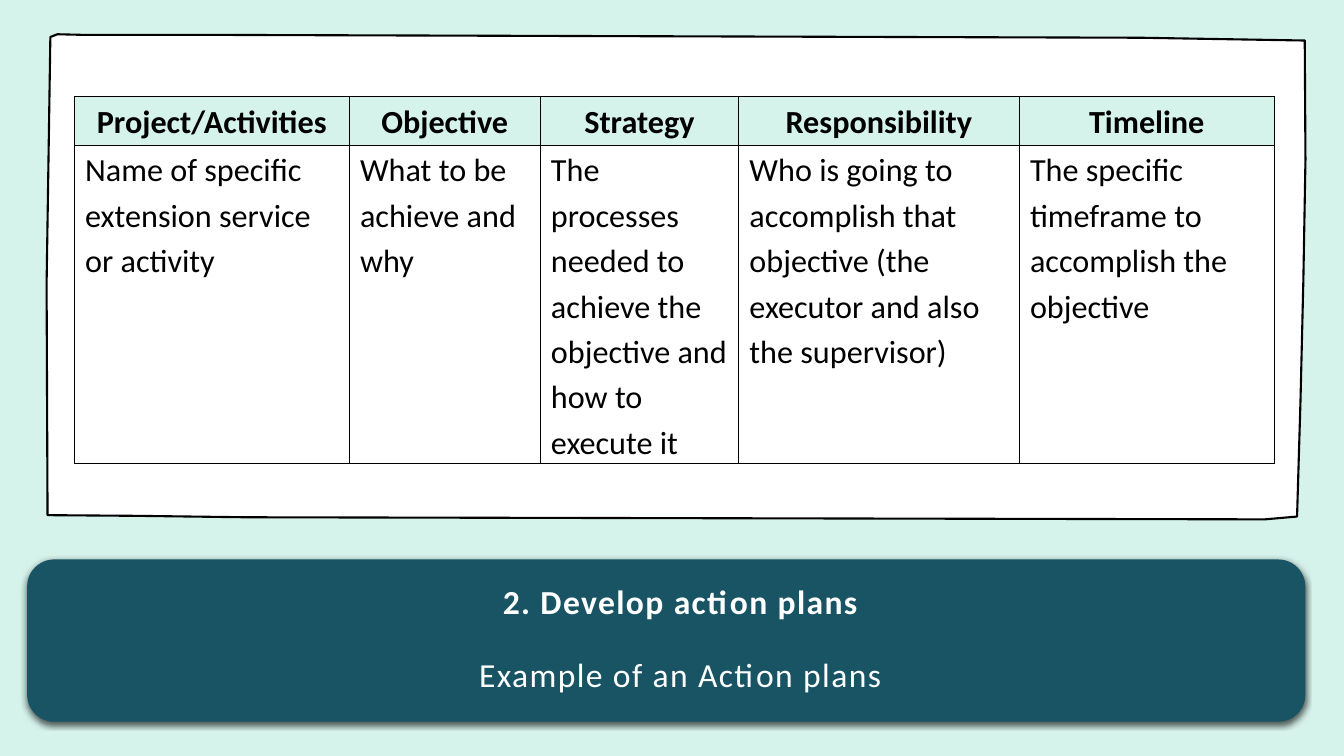
from lxml import etree
from pptx import Presentation
from pptx.dml.color import RGBColor
from pptx.enum import shapes, text
from pptx.oxml import ns
from pptx.util import Pt

MINT = RGBColor(0xD5, 0xF2, 0xEB)
TEAL = RGBColor(0x18, 0x54, 0x64)
WHITE = RGBColor(0xFF, 0xFF, 0xFF)
BLACK = RGBColor(0, 0, 0)
FONT = "Calibri"

# Content: heading, column width, explanation
PLAN = [
    ("Project/Activities", 196.4, "Name of specific extension service or activity"),
    ("Objective", 136.4, "What to be achieve and why"),
    ("Strategy", 141.8, "The processes needed to achieve the objective and how to execute it"),
    ("Responsibility", 200.4,
     "Who is going to accomplish that objective (the executor and also the supervisor)"),
    ("Timeline", 182.2, "The specific timeframe to accomplish the objective"),
]
ROW_HEIGHTS = (34.6, 223.2)
TITLE = [("2. Develop action plans", True, 0), ("Example of an Action plans", False, 26.4)]

# Corners of the hand-drawn paper, clockwise from the top left
PAPER = [(41, 24.5), (61, 25), (161, 25), (815, 27), (932, 29), (932.5, 114),
         (931, 200), (929, 285), (926.5, 369), (903.5, 371), (175, 369.5),
         (97, 368.5), (34, 368), (33.3, 203), (36, 26.5)]


def style(paragraph, size, bold, color):
    font = paragraph.font
    font.name, font.size, font.bold = FONT, Pt(size), bold
    font.color.rgb = color


def add_borders(cell):
    properties = cell._tc.get_or_add_tcPr()
    for side in ("a:lnL", "a:lnR", "a:lnT", "a:lnB"):
        border = etree.SubElement(properties, ns.qn(side), w=str(Pt(1)))
        fill = etree.SubElement(border, ns.qn("a:solidFill"))
        etree.SubElement(fill, ns.qn("a:srgbClr"), val=str(BLACK))


def fill_cell(cell, words, heading):
    cell.margin_left = cell.margin_right = Pt(7.6)
    cell.margin_top = cell.margin_bottom = 0
    add_borders(cell)
    if heading:
        cell.fill.solid()
        cell.fill.fore_color.rgb = MINT
    else:
        cell.fill.background()
    paragraph = cell.text_frame.paragraphs[0]
    paragraph.text = words
    paragraph.alignment = text.PP_ALIGN.CENTER if heading else text.PP_ALIGN.LEFT
    paragraph.line_spacing = 1.15
    paragraph.space_after = Pt(10)
    style(paragraph, 23, heading, BLACK)


def add_paper(slide):
    corners = [(Pt(x), Pt(y)) for x, y in PAPER]
    outline = slide.shapes.build_freeform(*corners[0])
    outline.add_line_segments(corners[1:], close=True)
    paper = outline.convert_to_shape()
    paper.shadow.inherit = False
    paper.fill.solid()
    paper.fill.fore_color.rgb = WHITE
    paper.line.color.rgb = BLACK
    paper.line.width = Pt(1.5)


def add_plan(slide):
    widths = [width for _, width, _ in PLAN]
    plan = slide.shapes.add_table(2, len(PLAN), Pt(53.2), Pt(69.2),
                                  Pt(sum(widths)), Pt(sum(ROW_HEIGHTS))).table
    plan.first_row = plan.horz_banding = False
    for row, height in zip(plan.rows, ROW_HEIGHTS):
        row.height = Pt(height)
    for column, (heading, width, explanation) in enumerate(PLAN):
        plan.columns[column].width = Pt(width)
        fill_cell(plan.cell(0, column), heading, True)
        fill_cell(plan.cell(1, column), explanation, False)


def add_banner(slide):
    banner = slide.shapes.add_shape(shapes.MSO_SHAPE.ROUNDED_RECTANGLE,
                                    Pt(19.4), Pt(399.6), Pt(913), Pt(115.9))
    banner.fill.solid()
    banner.fill.fore_color.rgb = TEAL
    banner.line.fill.background()
    # Soft shadow below the banner
    banner.shadow.inherit = False
    effects = banner._element.spPr.find(ns.qn("a:effectLst"))
    shadow = etree.SubElement(effects, ns.qn("a:outerShdw"), blurRad=str(Pt(4.5)),
                              dist=str(Pt(1.5)), dir="5400000", rotWithShape="0")
    color = etree.SubElement(shadow, ns.qn("a:srgbClr"), val=str(BLACK))
    etree.SubElement(color, ns.qn("a:alpha"), val="63000")


def set_title(slide):
    title = slide.shapes.title
    title.left, title.top, title.width, title.height = Pt(60.5), Pt(391.7), Pt(839.5), Pt(104.4)
    frame = title.text_frame
    frame.auto_size = text.MSO_AUTO_SIZE.NONE
    frame.vertical_anchor = text.MSO_ANCHOR.BOTTOM
    frame.margin_bottom = 0
    for index, (words, bold, gap) in enumerate(TITLE):
        line = frame.add_paragraph() if index else frame.paragraphs[0]
        run = line.add_run()
        run.text = words
        run.font._element.set("spc", "100")
        line.alignment = text.PP_ALIGN.CENTER
        line.line_spacing = 0.9
        line.space_before = Pt(gap)
        line._p.get_or_add_pPr().set("marL", str(Pt(11.5)))
        style(line, 24, bold, WHITE)
    # Bring the title in front of the banner
    slide.shapes._spTree.append(title._element)


def main():
    deck = Presentation()
    deck.slide_width, deck.slide_height = Pt(960), Pt(540)
    slide = deck.slides.add_slide(deck.slide_layouts[5])
    slide.background.fill.solid()
    slide.background.fill.fore_color.rgb = MINT
    add_paper(slide)
    add_plan(slide)
    add_banner(slide)
    set_title(slide)
    deck.save("out.pptx")


if __name__ == "__main__":
    main()
